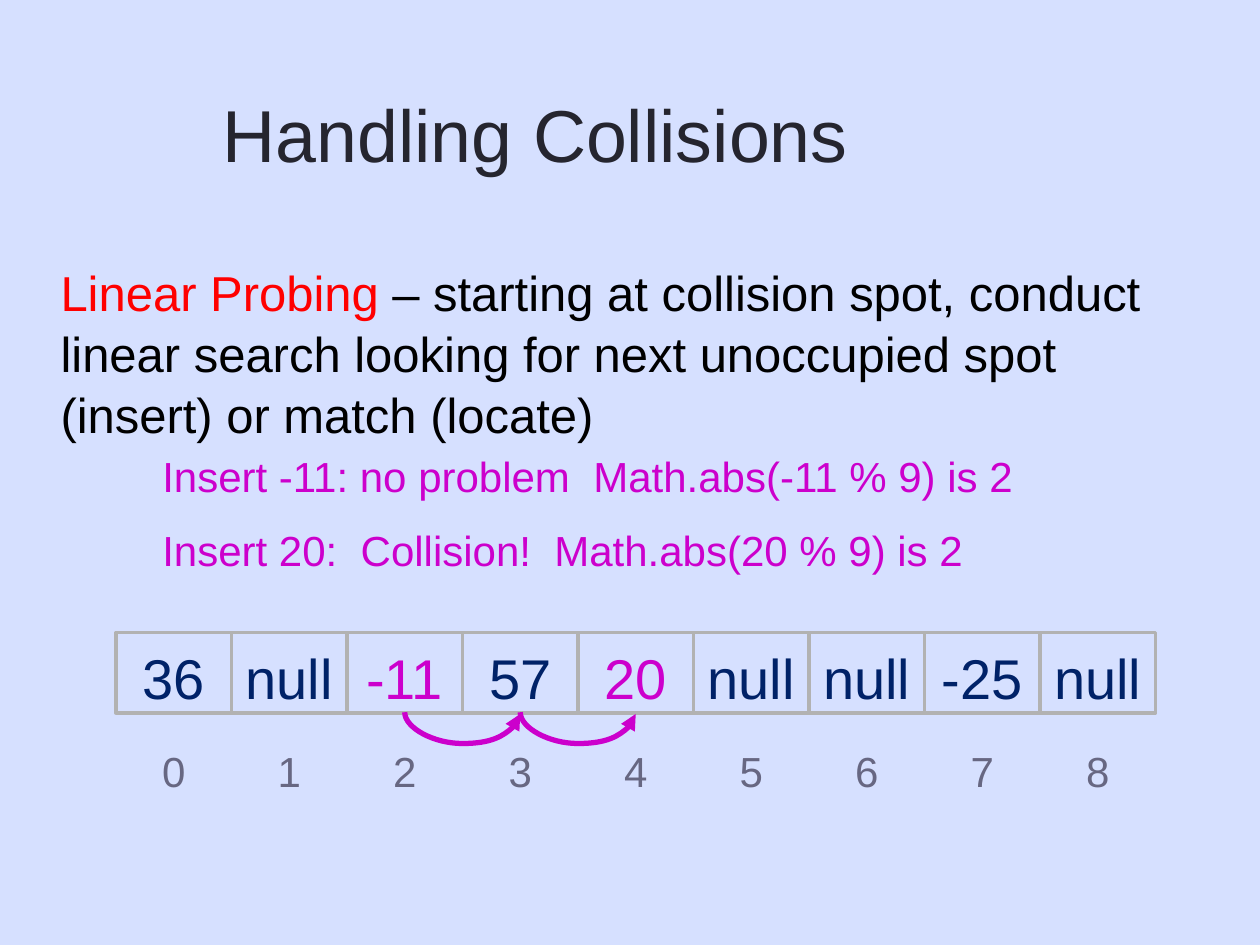
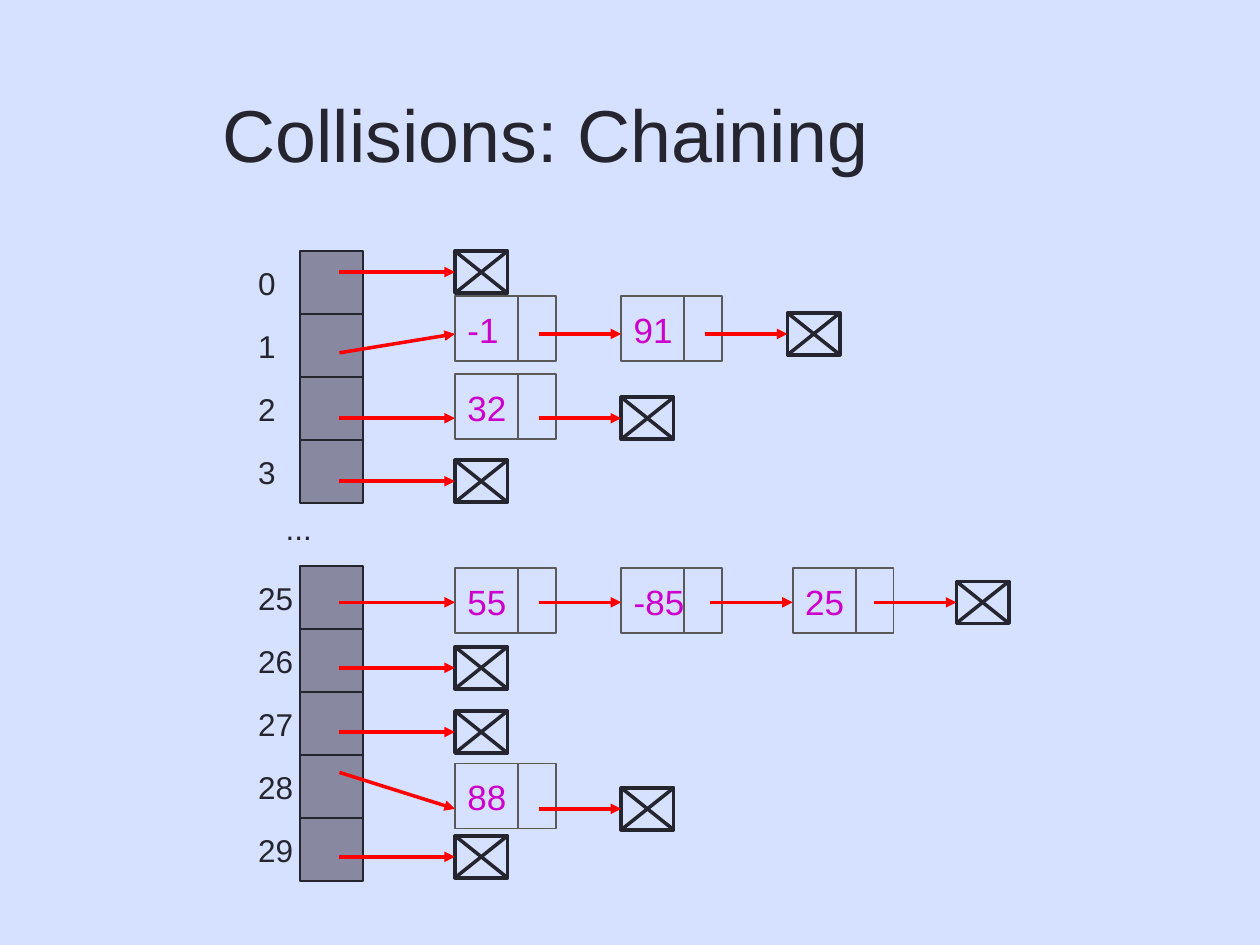
"""Build two slides on hash collisions: linear probing and chaining."""
from dataclasses import dataclass

from lxml.etree import SubElement
from pptx import Presentation
from pptx.dml.color import RGBColor as Rgb
from pptx.enum.shapes import MSO_CONNECTOR as Conn, MSO_SHAPE as Form
from pptx.enum.text import MSO_ANCHOR as Anchor, MSO_AUTO_SIZE as Auto, PP_ALIGN as Align
from pptx.oxml.ns import qn
from pptx.util import Pt

BACK, INK, NAVY, PINK, RED = "D6E0FF", "25252F", "002268", "CC00CC", "FF0000"
GREY, SLATE, EDGE, STEEL = "B2B2B2", "676782", "595959", "8888A1"
FONT = "Arial"
CELL, ROW_X, ROW_Y = 66, 66.3, 361.4
SLOT, SLOT_X, SLOT_Y, TAG_X = 36, 171.4, 143.4, 140.4
NODE_W, NODE_H, NULL_W, NULL_H = 57.6, 37.2, 30, 24
FIRST, HOP = 260, 47


@dataclass
class Style:
    """Look of a piece of text."""
    size: float
    tint: str
    align: Align = Align.LEFT
    anchor: Anchor = Anchor.TOP


@dataclass
class Chain:
    """One slot of the table and the list that hangs on it."""
    slot: int
    tag: str
    tip: float
    start: float = 0
    top: float = 0
    keys: tuple = ()
    stops: tuple = ()


TITLE = Style(42, INK, anchor=Anchor.MIDDLE)
BODY = Style(28, "000000")
NOTE = Style(24, PINK)
INDEX = Style(24, SLATE, Align.CENTER)
TAG = Style(18, INK, anchor=Anchor.MIDDLE)
KEY = Style(20, PINK, anchor=Anchor.MIDDLE)

CELLS = ("36", "null", "-11", "57", "20", "null", "null", "-25", "null")
ADDED = (2, 4)
CHAINS = (
    Chain(0, "0", 155.5),
    Chain(1, "1", 190.8, 201.6, 169.2, ("-1", "91"), (355, 450)),
    Chain(2, "2", 239, 0, 213.8, ("32",), (355,)),
    Chain(3, "3", 275),
    Chain(5, "25", 344.2, 0, 324.7, ("55", "-85", "25"), (355, 453, 546.5)),
    Chain(6, "26", 381.6),
    Chain(7, "27", 418.3),
    Chain(8, "28", 462.2, 441.4, 436.3, ("88",), (355,)),
    Chain(9, "29", 489.6),
)


def hue(code: str) -> Rgb:
    """Turn a hex string into a colour."""
    return Rgb.from_string(code)


def paint(run, size: float, tint: str) -> None:
    """Format one run."""
    run.font.name, run.font.size = FONT, Pt(size)
    run.font.color.rgb = hue(tint)


def write(frame, text: str, look: Style) -> None:
    """Fill a text frame in the given style."""
    frame.text = text
    frame.word_wrap, frame.auto_size = True, Auto.NONE
    frame.vertical_anchor = look.anchor
    if look.anchor == Anchor.TOP:
        frame.margin_top = Pt(4.6)
    para = frame.paragraphs[0]
    para.alignment, para.line_spacing = look.align, 1.04
    paint(para.runs[0], look.size, look.tint)


def label(slide, x: float, y: float, w: float, h: float, text: str, look: Style):
    """Add a text box and return its frame."""
    frame = slide.shapes.add_textbox(Pt(x), Pt(y), Pt(w), Pt(h)).text_frame
    write(frame, text, look)
    return frame


def box(slide, x: float, y: float, w: float, h: float, edge: str, width: float, fill: str = ""):
    """Add a rectangle, hollow unless a fill is given."""
    shape = slide.shapes.add_shape(Form.RECTANGLE, Pt(x), Pt(y), Pt(w), Pt(h))
    shape.shadow.inherit = False
    shape.line.color.rgb, shape.line.width = hue(edge), Pt(width)
    if fill:
        shape.fill.solid()
        shape.fill.fore_color.rgb = hue(fill)
    else:
        shape.fill.background()
    return shape


def line(slide, x: float, y: float, to_x: float, to_y: float, tint: str, width: float,
         head: bool = False, kind: Conn = Conn.STRAIGHT):
    """Add a connector, with an arrowhead if asked."""
    link = slide.shapes.add_connector(kind, Pt(x), Pt(y), Pt(to_x), Pt(to_y))
    link.line.color.rgb, link.line.width = hue(tint), Pt(width)
    if head:
        SubElement(link.line._get_or_add_ln(), qn("a:tailEnd"), type="triangle")
    SubElement(link._element.spPr, qn("a:effectLst"))
    return link


def hop(slide, x: float) -> None:
    """Draw a curved arrow below the row, one cell to the right of x."""
    mid, top = x + CELL / 2, 374.5
    link = line(slide, mid - 0.5, top, mid + 0.5, top + CELL, PINK, 3, True, Conn.CURVE)
    props = link._element.spPr
    frame = props.find(qn("a:xfrm"))
    frame.set("rot", "16200000")
    frame.set("flipH", "1")
    guides = props.find(qn("a:prstGeom")).get_or_add_avLst()
    SubElement(guides, qn("a:gd"), name="adj1", fmla="val 1800000")


def node(slide, x: float, y: float, key: str) -> None:
    """Draw a list node with its key and link field."""
    write(box(slide, x, y, NODE_W, NODE_H, EDGE, 1).text_frame, key, KEY)
    line(slide, x + 36, y, x + 36, y + 36.8, EDGE, 1)


def null(slide, x: float, mid: float) -> None:
    """Draw the crossed box that ends a list."""
    top, low = mid - NULL_H / 2, mid + NULL_H / 2
    box(slide, x, top, NULL_W, NULL_H, INK, 2)
    line(slide, x, low, x + NULL_W, top, INK, 2)
    line(slide, x, top, x + NULL_W, low, INK, 2)


def page(deck, title: str):
    """Add a slide with background and title."""
    slide = deck.slides.add_slide(deck.slide_layouts[5])
    slide.background.fill.solid()
    slide.background.fill.fore_color.rgb = hue(BACK)
    head = slide.shapes.title
    head.left, head.top, head.width, head.height = Pt(120), Pt(15), Pt(552), Pt(120)
    write(head.text_frame, title, TITLE)
    return slide


def probe(deck) -> None:
    """Build the linear probing slide."""
    slide = page(deck, "Handling Collisions")
    frame = label(slide, 27.5, 144, 644.5, 108, "Linear Probing ", Style(28, RED))
    rest = frame.paragraphs[0].add_run()
    rest.text = ("– starting at collision spot, conduct linear search looking for "
                 "next unoccupied spot (insert) or match (locate)")
    paint(rest, BODY.size, BODY.tint)
    label(slide, 85.7, 252, 528, 36, "Insert -11: no problem  Math.abs(-11 % 9) is 2", NOTE)
    label(slide, 85.7, 294, 528, 36, "Insert 20:  Collision!  Math.abs(20 % 9) is 2", NOTE)
    for i, text in enumerate(CELLS):
        x, new = ROW_X + i * CELL, i in ADDED
        cell = box(slide, x, ROW_Y, CELL, 46, GREY, 2, BACK if new else "")
        write(cell.text_frame, text, Style(32, PINK if new else NAVY, Align.CENTER))
        label(slide, x, 420, CELL, 36, str(i), INDEX)
    for i in range(*ADDED):
        hop(slide, ROW_X + (i + 0.5) * CELL)


def chain(deck) -> None:
    """Build the chaining slide."""
    slide = page(deck, "Collisions: Chaining")
    label(slide, 156.2, 283, SLOT, SLOT, "...", TAG)
    for row in CHAINS:
        y = SLOT_Y + row.slot * SLOT
        box(slide, SLOT_X, y, SLOT, SLOT, INK, 0.75, STEEL)
        label(slide, TAG_X, y, SLOT, SLOT, row.tag, TAG)
        spots = (FIRST, *row.stops)
        for x, key in zip(spots, row.keys):
            node(slide, x, row.top, key)
        null(slide, spots[-1], row.tip)
        line(slide, 194, row.start or row.tip, FIRST, row.tip, RED, 2, True)
        for x in row.stops:
            line(slide, x - HOP, row.tip, x, row.tip, RED, 2, True)


def main() -> None:
    """Build and save the deck."""
    deck = Presentation()
    deck.slide_width, deck.slide_height = Pt(720), Pt(540)
    probe(deck)
    chain(deck)
    deck.save("out.pptx")


main()
